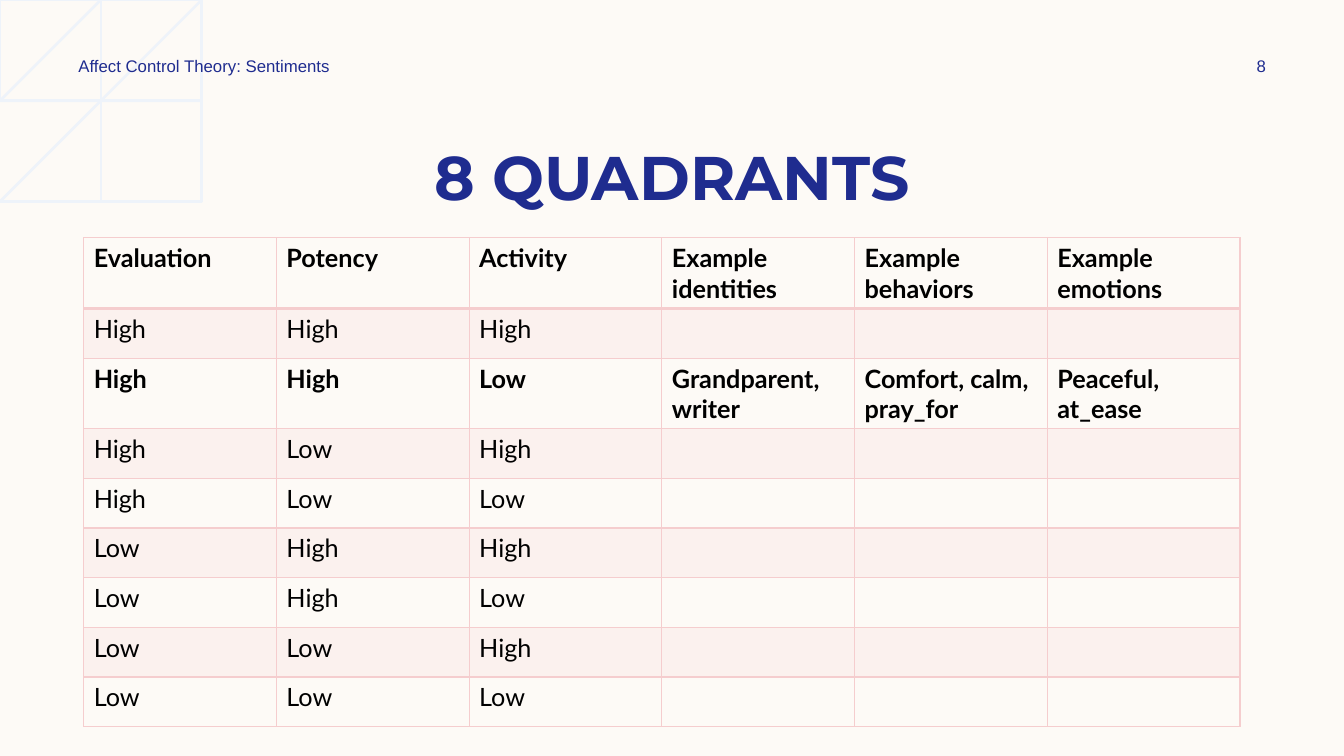
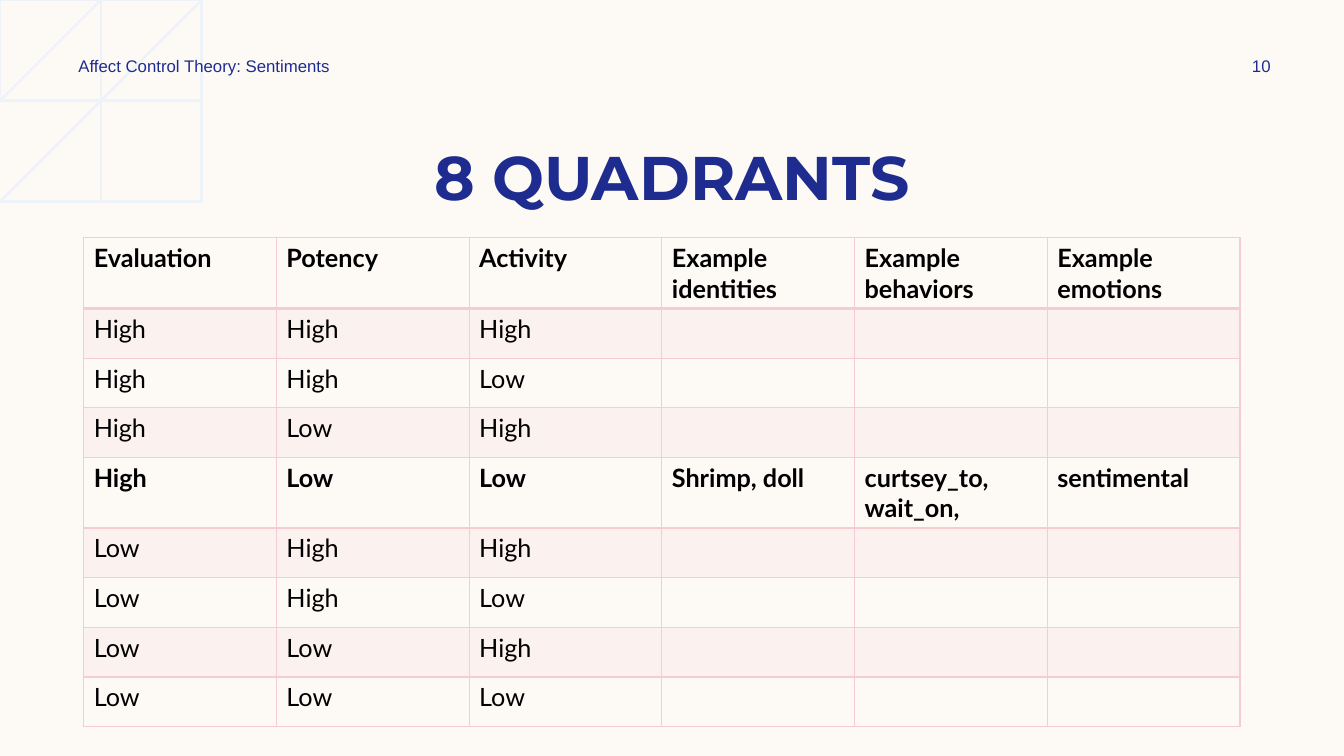
import itertools
import math

from lxml import etree
from pptx import Presentation
from pptx import util as u
from pptx.dml.color import RGBColor
from pptx.enum import text
from pptx.oxml import ns

COLORS = {"paper": "FDFAF6", "rings": "EEF3FA", "navy": "1F2C8F",
          "pink": "F5CDCE", "black": "000000"}
HEADINGS = ["Evaluation", "Potency", "Activity",
            "Example identities", "Example behaviors", "Example emotions"]
QUADRANTS = list(itertools.product(["High", "Low"], repeat=3))
SLIDES = [
    {"number": "8", "quadrant": ("High", "High", "Low"),
     "examples": ["Grandparent,\nwriter", "Comfort, calm, pray_for", "Peaceful, at_ease"]},
    {"number": "10", "quadrant": ("High", "Low", "Low"),
     "examples": ["Shrimp, doll", "curtsey_to, wait_on,", "sentimental"]},
]
TABLE_HEIGHT, TALL_ROW = 4.85, 0.7
SHORT_ROW = (TABLE_HEIGHT - 2 * TALL_ROW) / 7
RING_COUNT, RING_CENTER_Y, ARC_STEPS = 17, -0.16, 12
FIRST_RADIUS, LAST_RADIUS = 0.3, 2.45


def write(frame, words, size=12, face="Arial", color="navy", bold=False,
          align=text.PP_ALIGN.LEFT, anchor=text.MSO_ANCHOR.TOP):
    """Fill a text frame, one paragraph for each line of words."""
    frame.word_wrap = True
    frame.vertical_anchor = anchor
    frame.text = words
    for paragraph in frame.paragraphs:
        paragraph.alignment = align
        for run in paragraph.runs:
            font = run.font
            font.size, font.name, font.bold = u.Pt(size), face, bold
            font.color.rgb = RGBColor.from_string(COLORS[color])


def arc(radius):
    """Points of a ring, from the top of the slide to its left side."""
    start = math.asin(-RING_CENTER_Y / radius)
    angles = [start + (math.pi / 2 - start) * step / ARC_STEPS for step in range(ARC_STEPS + 1)]
    return [(radius * math.cos(a), RING_CENTER_Y + radius * math.sin(a)) for a in angles]


prs = Presentation()
prs.slide_width, prs.slide_height = u.Inches(13.33), u.Inches(7.5)
backdrop = prs.slide_master.background.fill
backdrop.solid()
backdrop.fore_color.rgb = RGBColor.from_string(COLORS["paper"])

ring_gap = (LAST_RADIUS - FIRST_RADIUS) / (RING_COUNT - 1)
ring_arcs = [arc(FIRST_RADIUS + ring_gap * ring) for ring in range(RING_COUNT)]

for content in SLIDES:
    slide = prs.slides.add_slide(prs.slide_layouts[6])

    builder = slide.shapes.build_freeform(*ring_arcs[0][0], scale=u.Inches(1))
    for index, points in enumerate(ring_arcs):
        if index:
            builder.move_to(*points[0])
        builder.add_line_segments(points[1:], close=False)
    rings = builder.convert_to_shape()
    rings.shadow.inherit = False
    rings.fill.background()
    rings.line.width = u.Pt(1.8)
    rings.line.color.rgb = RGBColor.from_string(COLORS["rings"])

    center, middle = text.PP_ALIGN.CENTER, text.MSO_ANCHOR.MIDDLE
    for box, words, style in [
        ((0.83, 1.33, 11.67, 0.84), "8 QUADRANTS",
         {"size": 44, "face": "Montserrat", "bold": True, "align": center}),
        ((0.68, 0.5, 3.5, 0.3), "Affect Control Theory: Sentiments", {"anchor": middle}),
        ((11.97, 0.5, 1.08, 0.3), content["number"], {"align": center, "anchor": middle}),
    ]:
        write(slide.shapes.add_textbox(*map(u.Inches, box)).text_frame, words, **style)

    rows = [HEADINGS]
    for quadrant in QUADRANTS:
        examples = content["examples"] if quadrant == content["quadrant"] else [""] * 3
        rows.append([*quadrant, *examples])
    table = slide.shapes.add_table(
        len(rows), len(HEADINGS), u.Inches(0.83), u.Inches(2.36),
        u.Inches(11.47), u.Inches(TABLE_HEIGHT)).table
    table.horz_banding = False

    for row, labels in enumerate(rows):
        emphasized = row == 0 or labels[-1] != ""
        table.rows[row].height = u.Inches(TALL_ROW if emphasized else SHORT_ROW)
        for column, label in enumerate(labels):
            cell = table.cell(row, column)
            if label:
                write(cell.text_frame, label, size=18, face="Lato", color="black",
                      bold=emphasized)
            properties = cell._tc.get_or_add_tcPr()
            if row % 2:
                cell.fill.solid()
                cell.fill.fore_color.rgb = RGBColor.from_string(COLORS["pink"])
                tint = properties.find(".//" + ns.qn("a:srgbClr"))
                etree.SubElement(tint, ns.qn("a:alpha"), val="20000")
            else:
                cell.fill.background()
            for position, side in enumerate(["lnL", "lnR", "lnT", "lnB"]):
                under_header = (row, side) in [(0, "lnB"), (1, "lnT")]
                border = etree.Element(ns.qn("a:" + side), w=str(u.Pt(2 if under_header else 1)))
                paint = etree.SubElement(border, ns.qn("a:solidFill"))
                etree.SubElement(paint, ns.qn("a:srgbClr"), val=COLORS["pink"])
                properties.insert(position, border)

prs.save("out.pptx")
